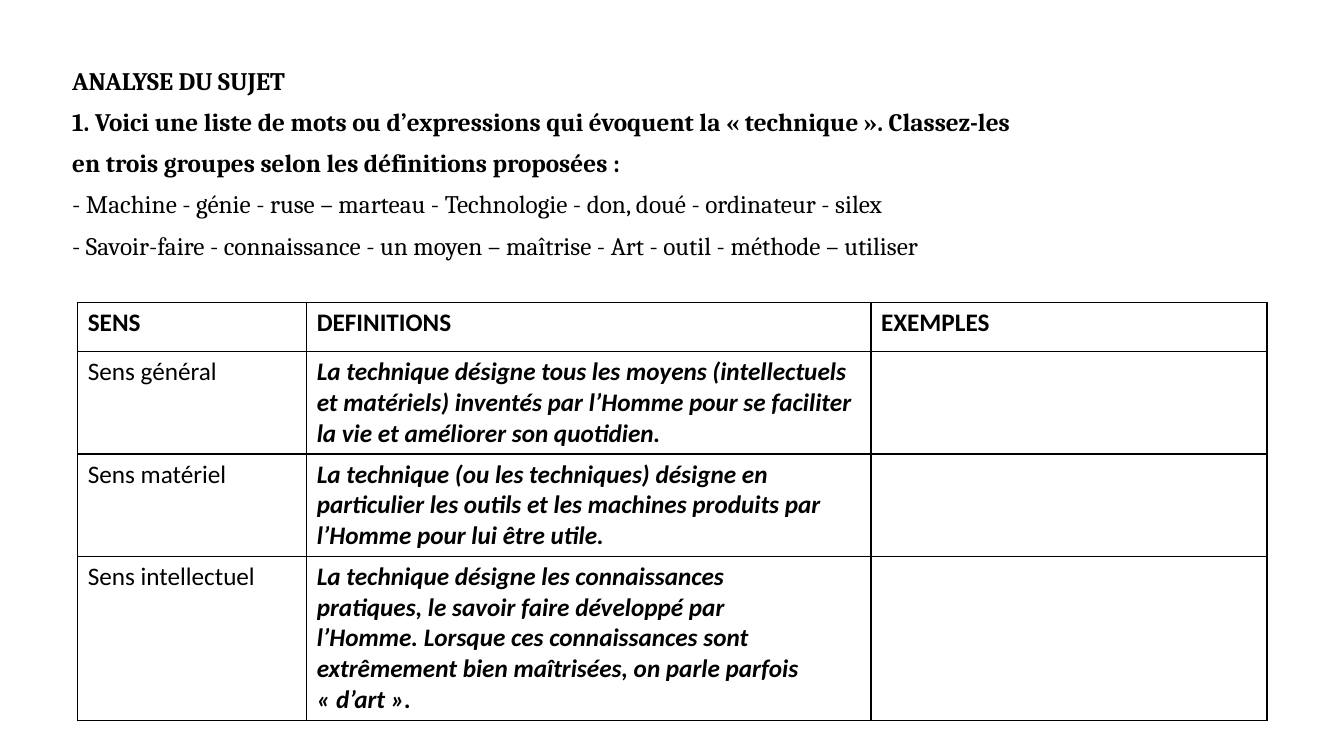
from lxml.etree import SubElement
from pptx import Presentation
from pptx.dml.color import RGBColor
from pptx.oxml.ns import qn
from pptx.util import Cm, Pt

COLOURS = {"ink": "000000", "paper": "FFFFFF"}


def add_span(para, text, font, bold=False, italic=False):
    span = para.add_run()
    span.text = text
    span.font.name = font
    span.font.size = Pt(18)
    span.font.bold = bold
    span.font.italic = italic
    span.font.color.rgb = RGBColor.from_string(COLOURS["ink"])


def draw_borders(cell):
    properties = cell._tc.get_or_add_tcPr()
    for position, side in enumerate(("a:lnL", "a:lnR", "a:lnT", "a:lnB")):
        line = properties.makeelement(qn(side), {"w": str(Pt(1))})
        properties.insert(position, line)
        fill = SubElement(line, qn("a:solidFill"))
        SubElement(fill, qn("a:srgbClr"), val=COLOURS["ink"])


deck = Presentation()
deck.slide_width = Cm(33.87)
deck.slide_height = Cm(19.05)
page = deck.slides.add_slide(deck.slide_layouts[6])
page.background.fill.solid()
page.background.fill.fore_color.rgb = RGBColor.from_string(COLOURS["paper"])

instructions = [
    ("ANALYSE DU SUJET", True),
    ("1. Voici une liste de mots ou d’expressions qui évoquent la « technique ». Classez-les", True),
    ("en trois groupes selon les définitions proposées :", True),
    ("- Machine - génie - ruse – marteau - Technologie - don, doué - ordinateur - silex", False),
    ("- Savoir-faire - connaissance - un moyen – maîtrise - Art - outil - méthode – utiliser", False),
]
box = page.shapes.add_textbox(Cm(1.57), Cm(1.6), Cm(30.35), Cm(15.57))
frame = box.text_frame
frame.word_wrap = True
for index, (text, bold) in enumerate(instructions):
    para = frame.add_paragraph() if index else frame.paragraphs[0]
    para.space_before = Pt(10)
    para.line_spacing = 0.9
    add_span(para, text, "Cambria", bold)

headings = ["SENS", "DEFINITIONS", "EXEMPLES"]
senses = [
    ("Sens général", [
        "La technique désigne tous les moyens (intellectuels et matériels) inventés "
        "par l’Homme pour se faciliter la vie et améliorer son quotidien.",
    ]),
    ("Sens matériel", [
        "La technique (ou les techniques) désigne en particulier les outils et les "
        "machines produits par l’Homme pour lui être utile.",
    ]),
    ("Sens intellectuel", [
        "La technique désigne les connaissances",
        "pratiques, le savoir faire développé par",
        "l’Homme. Lorsque ces connaissances sont",
        "extrêmement bien maîtrisées, on parle parfois",
        "« d’art ».",
    ]),
]
table = page.shapes.add_table(
    len(senses) + 1, len(headings), Cm(1.96), Cm(7.62), Cm(29.97), Cm(10.39)
).table
table.horz_banding = False
for column, width in zip(table.columns, (5.77, 14.22, 9.98)):
    column.width = Cm(width)
for row, height in zip(table.rows, (1.24, 2.58, 2.58, 4.14)):
    row.height = Cm(height)
for cell in table.iter_cells():
    cell.fill.background()
    draw_borders(cell)

for column, heading in enumerate(headings):
    add_span(table.cell(0, column).text_frame.paragraphs[0], heading, "Calibri", True)
for row, (sense, definition) in enumerate(senses, 1):
    add_span(table.cell(row, 0).text_frame.paragraphs[0], sense, "Calibri")
    frame = table.cell(row, 1).text_frame
    for index, text in enumerate(definition):
        para = frame.add_paragraph() if index else frame.paragraphs[0]
        add_span(para, text, "Calibri", True, True)

deck.save("out.pptx")
